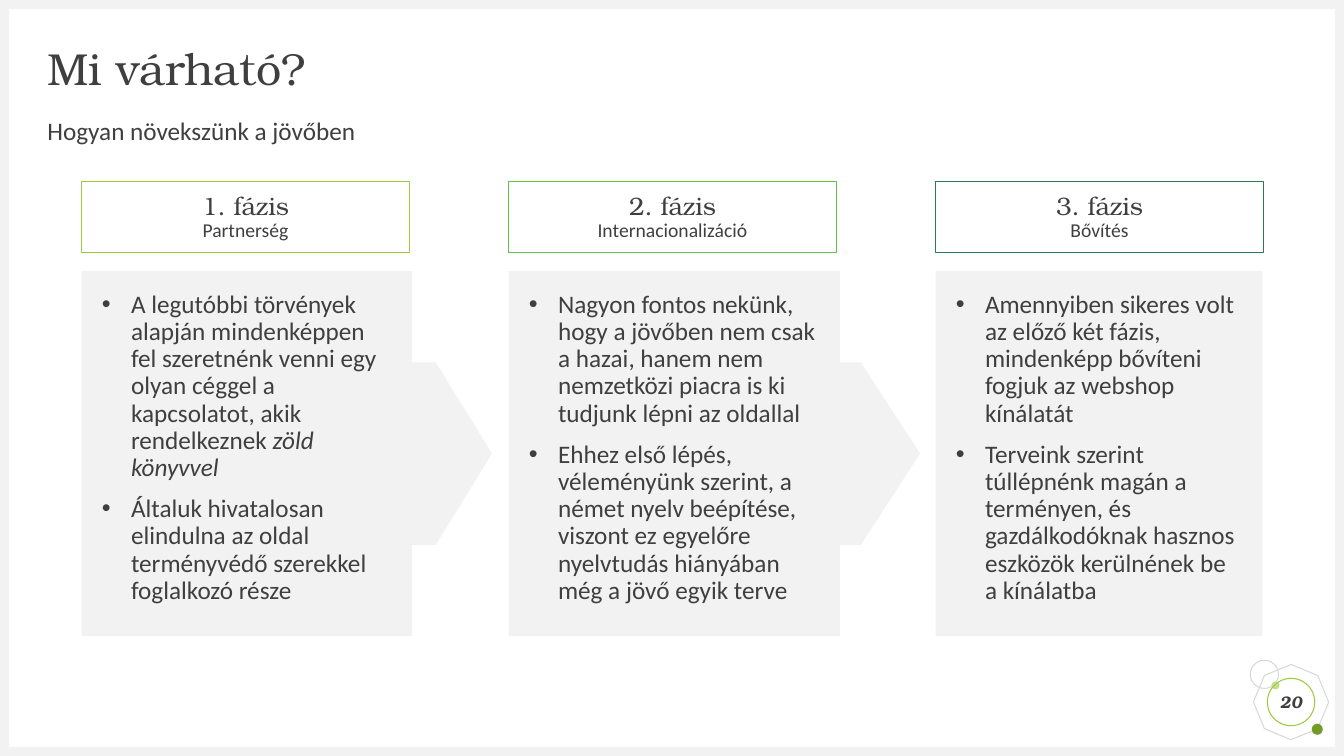
from dataclasses import dataclass

import lxml.etree
import pptx
import pptx.dml.color
import pptx.enum.shapes
import pptx.enum.text
import pptx.oxml.ns
import pptx.shapes.autoshape
import pptx.slide
import pptx.text.text
import pptx.util

Inches = pptx.util.Inches
Kind = pptx.enum.shapes.MSO_SHAPE
Align = pptx.enum.text.PP_ALIGN
Anchor = pptx.enum.text.MSO_ANCHOR

SERIF, SANS = "TeX Gyre Bonum", "Calibri"
INK, PALE, GREY, LIME = "3F3F3F", "F2F2F2", "D8D8D8", "9ACB39"
WIDTH, HEIGHT, FRAME = 13.33, 7.5, 0.09
FIRST_LEFT, COLUMN_STEP = 0.81, 4.235
BULLET_INDENT = 0.29


@dataclass(frozen=True)
class Span:
    text: str
    italic: bool = False


@dataclass(frozen=True)
class Phase:
    title: str
    subtitle: str
    color: str
    panel: Kind
    width: float
    adjustments: tuple[float, ...]
    bullets: tuple[tuple[Span, ...], ...]


@dataclass(frozen=True)
class Ornament:
    kind: Kind
    left: float
    top: float
    size: float
    fill: str | None = None
    line: str | None = None
    rotation: float = 0
    adjustments: tuple[float, ...] = ()


PHASES = (
    Phase("1. fázis", "Partnerség", LIME, Kind.RIGHT_ARROW_CALLOUT, 4.07,
          (0.5, 0.25, 0.154, 0.805), (
              (Span("A legutóbbi törvények alapján mindenképpen fel szeretnénk venni egy "
                    "olyan céggel a kapcsolatot, akik rendelkeznek "),
               Span("zöld könyvvel", italic=True)),
              (Span("Általuk hivatalosan elindulna az oldal terményvédő szerekkel "
                    "foglalkozó része"),),
          )),
    Phase("2. fázis", "Internacionalizáció", "64C24A", Kind.RIGHT_ARROW_CALLOUT, 4.08,
          (0.5, 0.25, 0.162, 0.805), (
              (Span("Nagyon fontos nekünk, hogy a jövőben nem csak a hazai, hanem nem "
                    "nemzetközi piacra is ki tudjunk lépni az oldallal"),),
              (Span("Ehhez első lépés, véleményünk szerint, a német nyelv beépítése, "
                    "viszont ez egyelőre nyelvtudás hiányában még a jövő egyik terve"),),
          )),
    Phase("3. fázis", "Bővítés", "297D53", Kind.RECTANGLE, 3.24, (), (
        (Span("Amennyiben sikeres volt az előző két fázis, mindenképp bővíteni fogjuk "
              "az webshop kínálatát"),),
        (Span("Terveink szerint túllépnénk magán a terményen, és gazdálkodóknak "
              "hasznos eszközök kerülnének be a kínálatba"),),
    )),
)

ORNAMENTS = (
    Ornament(Kind.OCTAGON, 12.46, 6.62, 0.69, line=GREY, rotation=22.7, adjustments=(0.293,)),
    Ornament(Kind.OVAL, 12.61, 6.76, 0.08, fill="C1DF87"),
    Ornament(Kind.OVAL, 13.01, 7.18, 0.11, fill="749A28"),
    Ornament(Kind.OVAL, 12.4, 6.55, 0.28, line=GREY),
)


def rgb(value: str) -> pptx.dml.color.RGBColor:
    return pptx.dml.color.RGBColor.from_string(value)


def add_shape(page: pptx.slide.Slide, kind: Kind, left: float, top: float, width: float,
              height: float, *, fill: str | None = None, line: str | None = None,
              adjustments: tuple[float, ...] = ()) -> pptx.shapes.autoshape.Shape:
    shape = page.shapes.add_shape(kind, Inches(left), Inches(top), Inches(width), Inches(height))
    shape.shadow.inherit = False
    if fill:
        shape.fill.solid()
        shape.fill.fore_color.rgb = rgb(fill)
    else:
        shape.fill.background()
    if line:
        shape.line.color.rgb = rgb(line)
        shape.line.width = pptx.util.Pt(0.75)
    else:
        shape.line.fill.background()
    for index, value in enumerate(adjustments):
        shape.adjustments[index] = value
    return shape


def set_frame(box: pptx.shapes.autoshape.Shape, anchor: Anchor = Anchor.TOP, *,
              side: float = 0, top: float = 0) -> pptx.text.text.TextFrame:
    """Set the insets, wrapping and anchor of a box and return its text frame."""
    frame = box.text_frame
    frame.word_wrap = True
    frame.vertical_anchor = anchor
    frame.margin_left = frame.margin_right = Inches(side)
    frame.margin_top, frame.margin_bottom = Inches(top), 0
    return frame


def add_span(para: pptx.text.text._Paragraph, text: str, *, size: float = 18,
             font: str = SANS, bold: bool = False, italic: bool = False) -> None:
    span = para.add_run()
    span.text = text
    span.font.name = font
    span.font.size = pptx.util.Pt(size)
    span.font.bold, span.font.italic = bold, italic
    span.font.color.rgb = rgb(INK)


def add_bullet(para: pptx.text.text._Paragraph) -> None:
    name = pptx.oxml.ns.qn
    properties = para._p.get_or_add_pPr()
    properties.set("marL", str(Inches(BULLET_INDENT)))
    properties.set("indent", str(-Inches(BULLET_INDENT)))
    color = lxml.etree.SubElement(properties, name("a:buClr"))
    lxml.etree.SubElement(color, name("a:srgbClr"), val=INK)
    lxml.etree.SubElement(properties, name("a:buFont"), typeface="Arial")
    lxml.etree.SubElement(properties, name("a:buChar"), char="•")


def add_heading(page: pptx.slide.Slide, text: str, top: float, height: float, anchor: Anchor,
                size: float, font: str) -> None:
    box = page.shapes.add_textbox(Inches(0.47), Inches(top), Inches(12.4), Inches(height))
    para = set_frame(box, anchor).paragraphs[0]
    para.line_spacing = 0.9
    add_span(para, text, size=size, font=font)


def add_phase(page: pptx.slide.Slide, phase: Phase, left: float) -> None:
    label = add_shape(page, Kind.RECTANGLE, left, 1.8, 3.25, 0.71, line=phase.color)
    para = set_frame(label, top=0.12).paragraphs[0]
    para.alignment = Align.CENTER
    para.line_spacing = 0.9
    add_span(para, phase.title, font=SERIF)
    para.add_line_break()
    add_span(para, phase.subtitle, size=14)

    panel = add_shape(page, phase.panel, left, 2.69, phase.width, 3.62, fill=PALE,
                      adjustments=phase.adjustments)
    frame = set_frame(panel, side=0.2, top=0.2)
    for index, spans in enumerate(phase.bullets):
        para = frame.add_paragraph() if index else frame.paragraphs[0]
        add_bullet(para)
        para.alignment = Align.LEFT
        para.line_spacing = 0.9
        para.space_before = pptx.util.Pt(10 if index else 0)
        for span in spans:
            add_span(para, span.text, italic=span.italic)


def main() -> None:
    deck = pptx.Presentation()
    deck.slide_width, deck.slide_height = Inches(WIDTH), Inches(HEIGHT)
    page = deck.slides.add_slide(deck.slide_layouts[6])

    for item in ORNAMENTS:
        shape = add_shape(page, item.kind, item.left, item.top, item.size, item.size,
                          fill=item.fill, line=item.line, adjustments=item.adjustments)
        shape.rotation = item.rotation
    for top in (HEIGHT - FRAME, 0):
        add_shape(page, Kind.RECTANGLE, 0, top, WIDTH, FRAME, fill=PALE)
    for left in (0, WIDTH - FRAME):
        add_shape(page, Kind.RECTANGLE, left, 0, FRAME, HEIGHT, fill=PALE)

    add_heading(page, "Mi várható?", 0.47, 0.47, Anchor.MIDDLE, 32, SERIF)
    add_heading(page, "Hogyan növekszünk a jövőben", 1.18, 0.3, Anchor.TOP, 18, SANS)
    for index, phase in enumerate(PHASES):
        add_phase(page, phase, FIRST_LEFT + index * COLUMN_STEP)

    badge = add_shape(page, Kind.OVAL, 12.57, 6.73, 0.47, 0.47, line=LIME)
    para = set_frame(badge, Anchor.MIDDLE).paragraphs[0]
    para.alignment = Align.CENTER
    add_span(para, "20", size=12, font=SERIF, bold=True, italic=True)

    deck.save("out.pptx")


if __name__ == "__main__":
    main()
